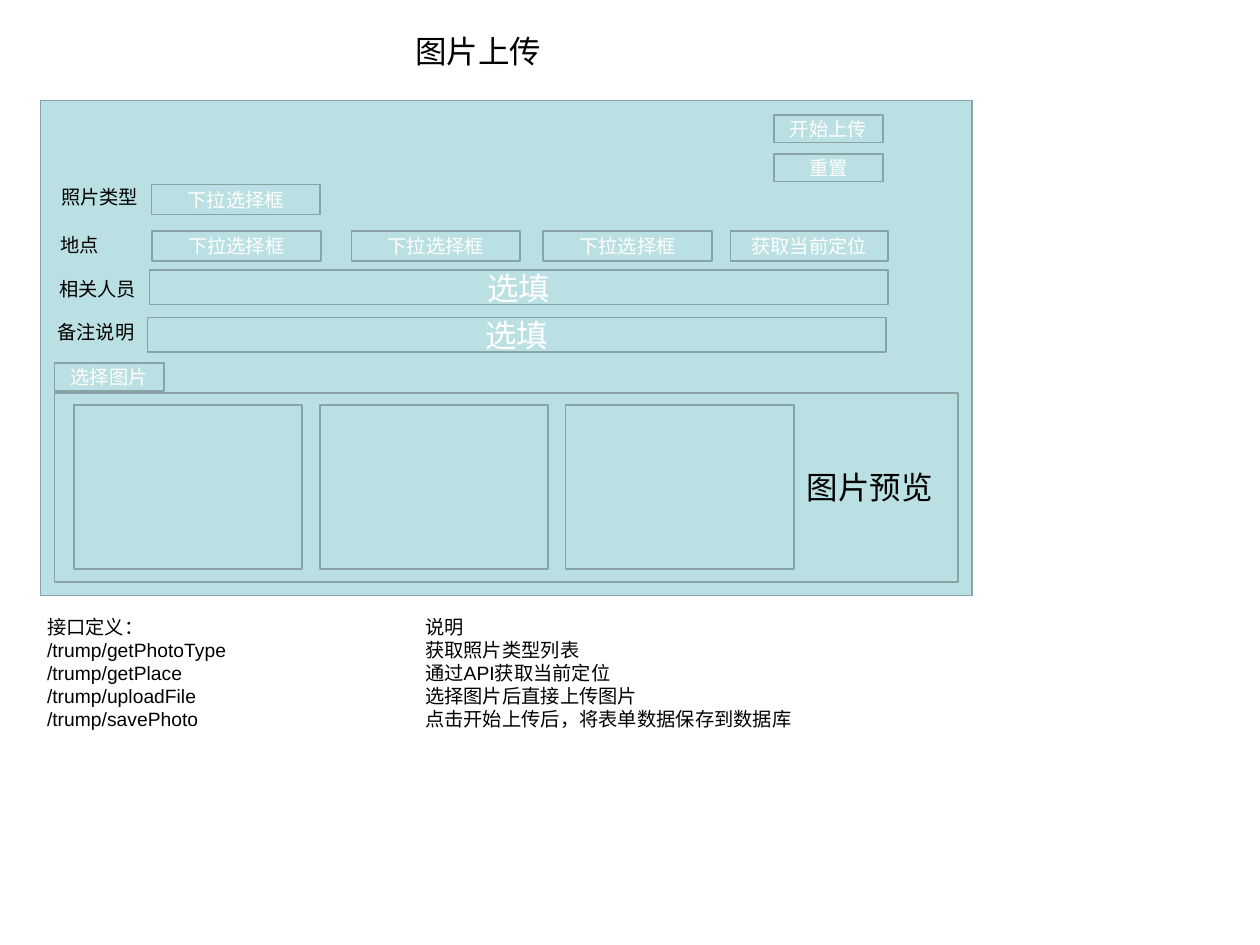
from dataclasses import dataclass

from lxml import etree
from pptx import Presentation
from pptx.dml.color import RGBColor
from pptx.enum.shapes import MSO_SHAPE
from pptx.enum.text import MSO_ANCHOR, MSO_AUTO_SIZE, PP_ALIGN
from pptx.oxml.ns import qn
from pptx.slide import Slide
from pptx.text.text import TextFrame
from pptx.util import Pt

RECTANGLE = MSO_SHAPE.RECTANGLE
MIDDLE, TOP = MSO_ANCHOR.MIDDLE, MSO_ANCHOR.TOP
CENTER, LEFT = PP_ALIGN.CENTER, PP_ALIGN.LEFT
GROW = MSO_AUTO_SIZE.SHAPE_TO_FIT_TEXT


@dataclass(frozen=True)
class Theme:
    font: str = "Arial"
    panel: RGBColor = RGBColor(0xBB, 0xE0, 0xE3)
    border: RGBColor = RGBColor(0x89, 0xA4, 0xA7)
    ink: RGBColor = RGBColor(0, 0, 0)
    paper: RGBColor = RGBColor(255, 255, 255)
    heading: float = 18
    body: float = 11
    border_width: float = 1


THEME = Theme()


@dataclass(frozen=True)
class Box:
    left: float
    top: float
    width: float
    height: float
    text: str = ""
    size: float = THEME.body

    def bounds(self) -> tuple:
        return Pt(self.left), Pt(self.top), Pt(self.width), Pt(self.height)


@dataclass(frozen=True)
class Endpoint:
    route: str
    purpose: str


SELECT_TEXT = "下拉选择框"
SELECT_SIZE = (96.5, 17.3)
BUTTON_SIZE = (62.6, 15.8)
WIDE_SIZE = (421.9, 19.6)
LABEL_SIZE = (58.6, 20.9)
HEADING_SIZE = (86.6, 28.8)
PREVIEW_LEFT, PREVIEW_STEP, PREVIEW_COUNT = 42.2, 140.5, 3
PURPOSE_TAB = 216

FORM = Box(23.2, 57.4, 532.1, 283)
PREVIEW_AREA = Box(31.1, 224.5, 516.2, 108)
PREVIEWS = [
    Box(PREVIEW_LEFT + i * PREVIEW_STEP, 231.6, 130.6, 93.6)
    for i in range(PREVIEW_COUNT)
]
SELECTS = [
    Box(left, top, *SELECT_SIZE, SELECT_TEXT)
    for left, top in ((86.6, 105.4), (86.8, 132), (200.9, 132), (310.3, 132))
]
LOCATE = Box(417.4, 132.1, 90, 17.3, "获取当前定位")
OPTIONALS = [
    Box(left, top, *WIDE_SIZE, "选填", THEME.heading)
    for left, top in ((85.5, 154.5), (84.4, 181.5))
]
BUTTONS = [
    Box(left, top, *BUTTON_SIZE, text)
    for left, top, text in (
        (31.1, 207.6, "选择图片"),
        (442.2, 65.7, "开始上传"),
        (442.2, 88, "重置"),
    )
]
LABELS = [
    Box(left, top, *LABEL_SIZE, text)
    for left, top, text in (
        (27.8, 102.3, "照片类型"),
        (26.7, 154.8, "相关人员"),
        (25.7, 179.5, "备注说明"),
    )
]
PLACE_LABEL = Box(27.6, 129.6, 37.5, 20.9, "地点")
HEADINGS = [
    Box(left, top, *HEADING_SIZE, text, THEME.heading)
    for left, top, text in ((230.2, 14.9, "图片上传"), (454, 263.7, "图片预览"))
]
ENDPOINTS = [
    Endpoint("接口定义：", "说明"),
    Endpoint("/trump/getPhotoType", "获取照片类型列表"),
    Endpoint("/trump/getPlace", "通过API获取当前定位"),
    Endpoint("/trump/uploadFile", "选择图片后直接上传图片"),
    Endpoint("/trump/savePhoto", "点击开始上传后，将表单数据保存到数据库"),
]
NOTES = Box(
    19.8, 347.8, 459.4, 73.4,
    "\n".join(f"{e.route}\t{e.purpose}" for e in ENDPOINTS),
)


def apply_format(target: object, values: dict) -> None:
    for key, value in values.items():
        setattr(target, key, value)


def write_text(frame: TextFrame, box: Box, color: RGBColor, align: PP_ALIGN) -> None:
    for index, line in enumerate(box.text.split("\n")):
        paragraph = frame.add_paragraph() if index else frame.paragraphs[0]
        paragraph.alignment = align
        run = paragraph.add_run()
        run.text = line
        apply_format(run.font, {"name": THEME.font, "size": Pt(box.size)})
        run.font.color.rgb = color


def draw_field(slide: Slide, box: Box) -> None:
    field = slide.shapes.add_shape(RECTANGLE, *box.bounds())
    field.shadow.inherit = False
    field.fill.solid()
    field.fill.fore_color.rgb = THEME.panel
    field.line.color.rgb = THEME.border
    field.line.width = Pt(THEME.border_width)
    if box.text:
        apply_format(field.text_frame, {"word_wrap": True, "vertical_anchor": MIDDLE})
        write_text(field.text_frame, box, THEME.paper, CENTER)


def draw_label(slide: Slide, box: Box, wrap: bool = False) -> TextFrame:
    frame = slide.shapes.add_textbox(*box.bounds()).text_frame
    apply_format(frame, {"word_wrap": wrap, "auto_size": GROW, "vertical_anchor": TOP})
    write_text(frame, box, THEME.ink, LEFT)
    return frame


def set_tab(frame: TextFrame, position: float) -> None:
    for paragraph in frame.paragraphs:
        properties = paragraph._p.get_or_add_pPr()
        stops = etree.SubElement(properties, qn("a:tabLst"))
        etree.SubElement(stops, qn("a:tab"), pos=str(Pt(position)), algn="l")


def main() -> None:
    deck = Presentation()
    apply_format(deck, {"slide_width": Pt(720), "slide_height": Pt(540)})
    slide = deck.slides.add_slide(deck.slide_layouts[6])
    fields = [FORM, PREVIEW_AREA, *PREVIEWS, *SELECTS, LOCATE, *OPTIONALS, *BUTTONS]
    for field in fields:
        draw_field(slide, field)
    for label in [*HEADINGS, *LABELS, PLACE_LABEL]:
        draw_label(slide, label)
    set_tab(draw_label(slide, NOTES, wrap=True), PURPOSE_TAB)
    deck.save("out.pptx")


if __name__ == "__main__":
    main()
